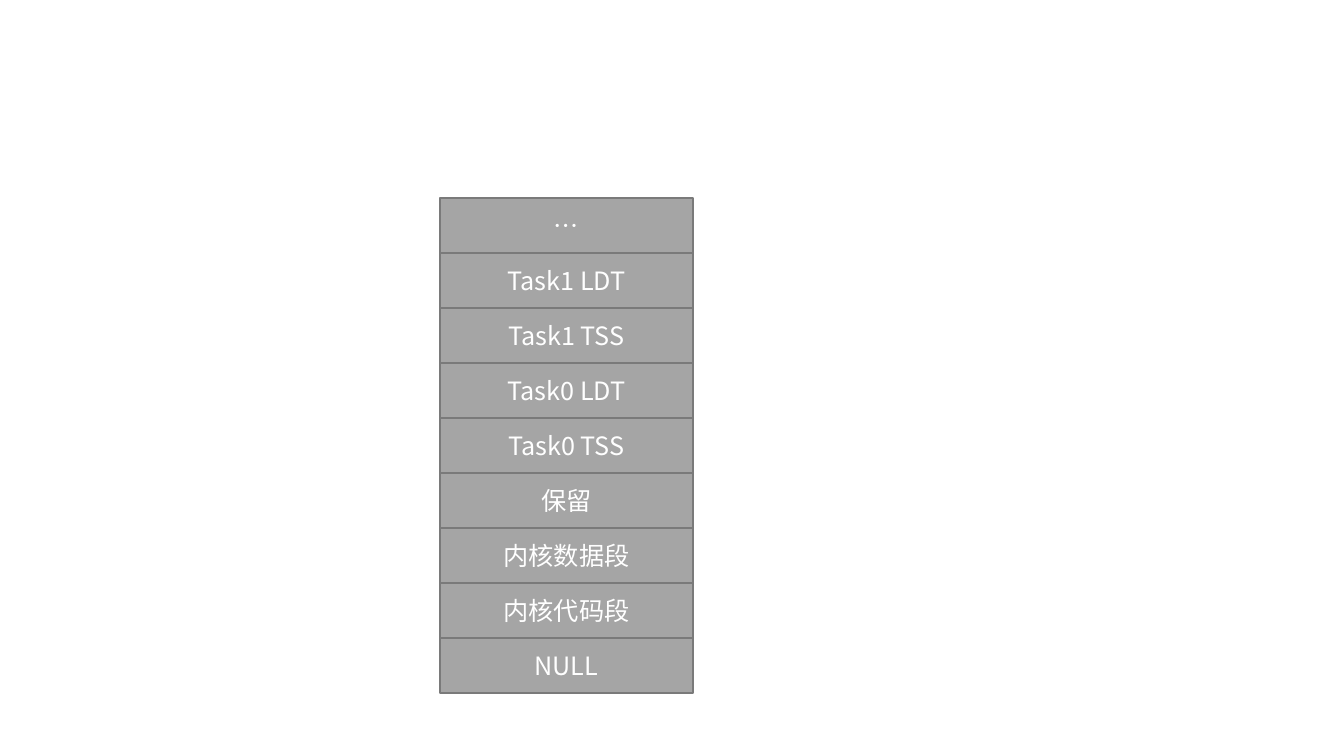
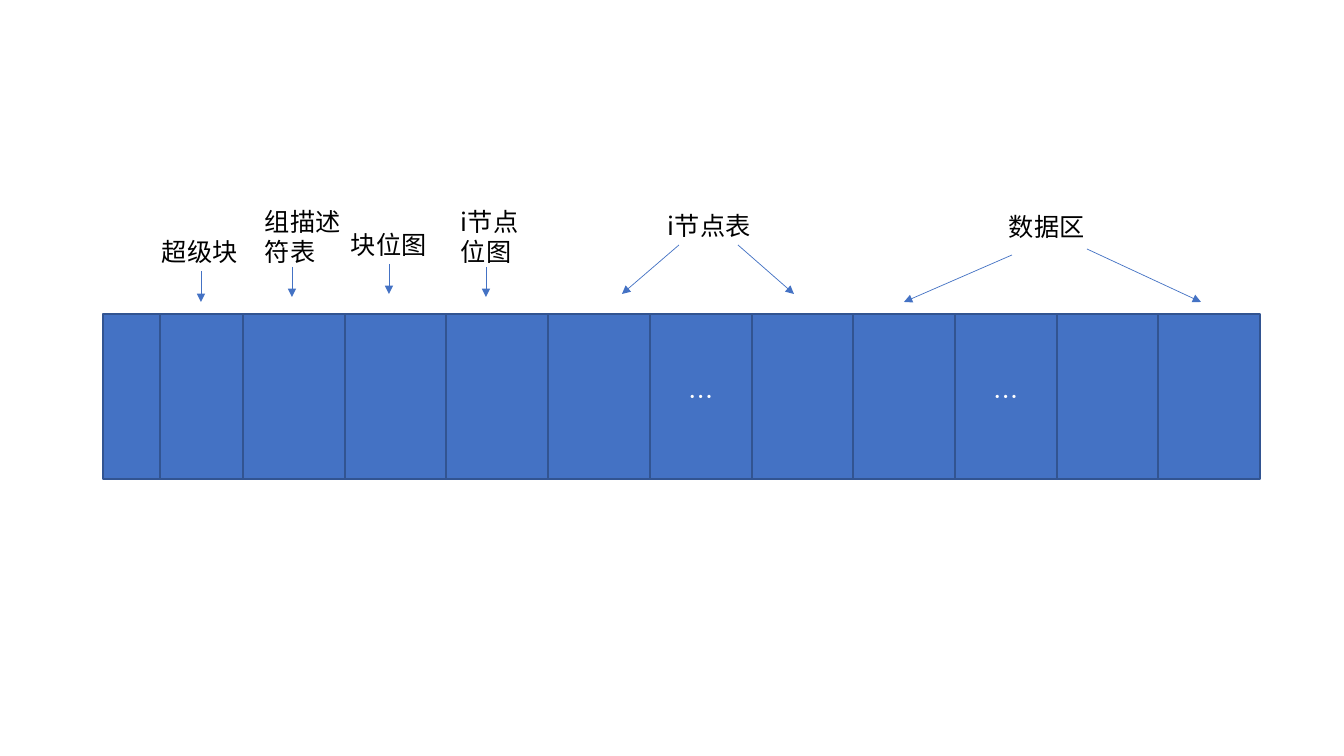
"""Draw a descriptor table and a disk block layout as two slides."""
from typing import NamedTuple

from lxml.etree import SubElement as sub
from pptx import Presentation
from pptx.dml.color import RGBColor
from pptx.enum.shapes import MSO_CONNECTOR as Link, MSO_SHAPE as Kind
from pptx.enum.text import MSO_ANCHOR as Anchor, MSO_AUTO_SIZE as Auto, PP_ALIGN as Align
from pptx.oxml.ns import qn
from pptx.slide import Slide
from pptx.text.text import TextFrame
from pptx.util import Emu, Pt

FONT = "Noto Sans CJK SC"
SIZE = 18
WHITE, BLACK = "FFFFFF", "000000"
GRAY, SLATE = "A5A5A5", "7A7A7A"
BLUE, NAVY = "4472C4", "325491"


class Box(NamedTuple):
    left: int
    top: int
    width: int
    height: int
    text: str = ""


class Arrow(NamedTuple):
    x: int
    y: int
    to_x: int
    to_y: int


def px(count: int) -> Emu:
    return Emu(round(count * 914400 / 100.8))


def color(code: str) -> RGBColor:
    return RGBColor.from_string(code)


def write(frame: TextFrame, text: str, tint: str, align: Align) -> None:
    line = frame.paragraphs[0]
    line.alignment = align
    run = line.add_run()
    run.text = text
    run.font.name = FONT
    run.font.size = Pt(SIZE)
    run.font.color.rgb = color(tint)
    sub(run.font._element, qn("a:ea"), typeface=FONT)


def draw_cell(slide: Slide, box: Box, fill: str, edge: str) -> None:
    cell = slide.shapes.add_shape(Kind.RECTANGLE, *map(px, box[:4]))
    cell.shadow.inherit = False
    cell.fill.solid()
    cell.fill.fore_color.rgb = color(fill)
    cell.line.color.rgb = color(edge)
    cell.line.width = Pt(1)
    if box.text:
        cell.text_frame.vertical_anchor = Anchor.MIDDLE
        write(cell.text_frame, box.text, WHITE, Align.CENTER)


def draw_label(slide: Slide, box: Box) -> None:
    frame = slide.shapes.add_textbox(*map(px, box[:4])).text_frame
    frame.word_wrap = True
    frame.auto_size = Auto.SHAPE_TO_FIT_TEXT
    write(frame, box.text, BLACK, Align.LEFT)


def draw_arrow(slide: Slide, arrow: Arrow) -> None:
    link = slide.shapes.add_connector(Link.STRAIGHT, *map(px, arrow))
    link.line.color.rgb = color(BLUE)
    link.line.width = Pt(0.5)
    sub(link.line._get_or_add_ln(), qn("a:tailEnd"), type="triangle")
    sub(link._element.spPr, qn("a:effectLst"))


ENTRIES = ["…", "Task1 LDT", "Task1 TSS", "Task0 LDT", "Task0 TSS",
           "保留", "内核数据段", "内核代码段", "NULL"]
ROW = 55

EDGES = [103, 160] + [round(243 + 101.7 * step) for step in range(11)]
GAPS = (6, 9)

LABELS = [
    Box(152, 231, 104, 40, "超级块"),
    Box(255, 201, 104, 72, "组描述符表"),
    Box(341, 224, 104, 40, "块位图"),
    Box(451, 201, 93, 72, "i节点位图"),
    Box(658, 205, 116, 40, "i节点表"),
    Box(999, 206, 116, 40, "数据区"),
]
ARROWS = [
    Arrow(201, 271, 201, 302),
    Arrow(292, 267, 292, 297),
    Arrow(389, 264, 389, 294),
    Arrow(486, 267, 486, 297),
    Arrow(679, 245, 622, 294),
    Arrow(738, 245, 794, 294),
    Arrow(1012, 255, 904, 302),
    Arrow(1087, 249, 1201, 302),
]


def draw_table(slide: Slide) -> None:
    for row, name in enumerate(ENTRIES):
        draw_cell(slide, Box(440, 198 + ROW * row, 253, ROW, name), GRAY, SLATE)


def draw_disk(slide: Slide) -> None:
    for spot, (left, right) in enumerate(zip(EDGES, EDGES[1:])):
        text = "…" if spot in GAPS else ""
        draw_cell(slide, Box(left, 314, right - left, 165, text), BLUE, NAVY)
    for label in LABELS:
        draw_label(slide, label)
    for arrow in ARROWS:
        draw_arrow(slide, arrow)


deck = Presentation()
deck.slide_width, deck.slide_height = px(1344), px(756)
for draw in (draw_table, draw_disk):
    draw(deck.slides.add_slide(deck.slide_layouts[6]))
deck.save("out.pptx")
